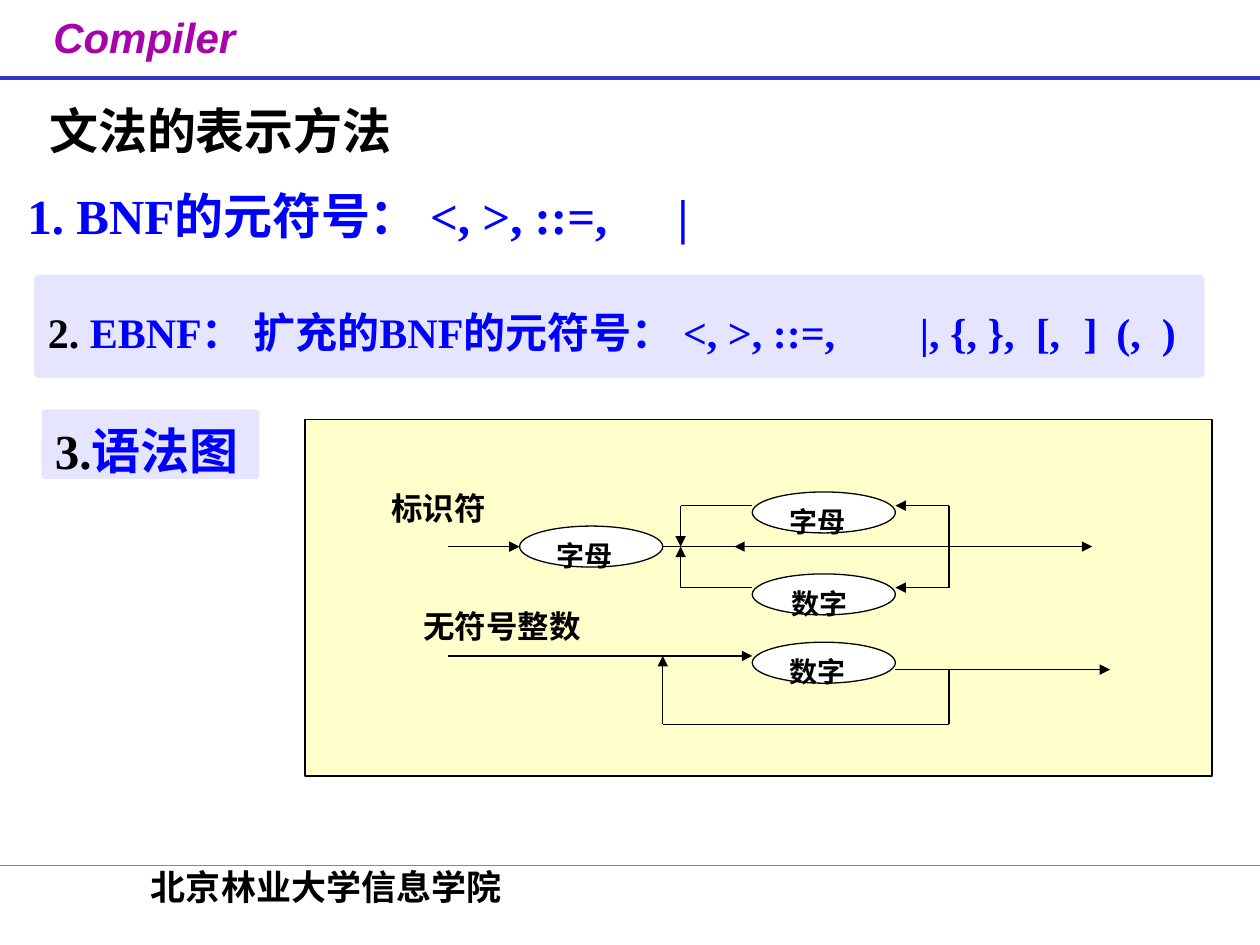
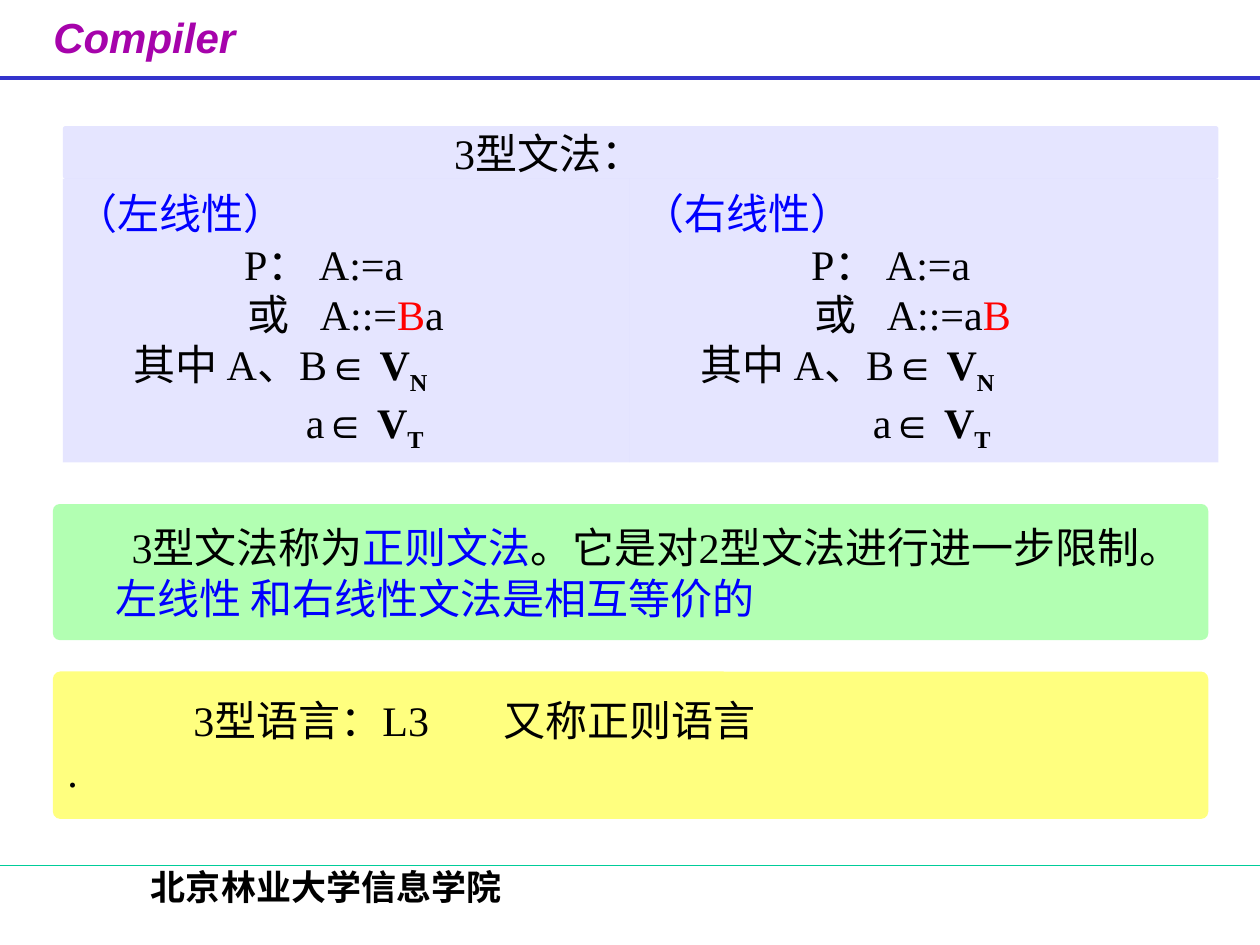
import dataclasses
import itertools

import lxml.etree
import pptx
import pptx.dml.color
import pptx.enum.shapes
import pptx.enum.text
import pptx.oxml.ns
import pptx.util

SHAPES = pptx.enum.shapes.MSO_SHAPE
ALIGN = pptx.enum.text.PP_ALIGN
ANCHOR = pptx.enum.text.MSO_ANCHOR
SLIDE_WIDTH = pptx.util.Inches(10)
SLIDE_HEIGHT = pptx.util.Inches(7.5)
CELL = SLIDE_WIDTH / 100

COLORS = {
    "ink": "000000",
    "blue": "0000FF",
    "red": "FF0000",
    "course": "A603AB",
    "header_rule": "3333CC",
    "footer_rule": "00CC99",
    "lavender": "CCCCFF",
    "green": "66FF66",
    "yellow": "FFFF00",
    "canvas": "FFFFCC",
    "node": "FFFFFF",
}


@dataclasses.dataclass
class Box:
    x: float
    y: float
    w: float
    h: float

    def emu(self):
        return [grid(value) for value in (self.x, self.y, self.w, self.h)]


def grid(cells):
    return pptx.util.Emu(round(cells * CELL))


def rgb(name):
    return pptx.dml.color.RGBColor.from_string(COLORS[name])


def child(parent, tag, **attributes):
    return lxml.etree.SubElement(parent, pptx.oxml.ns.qn(tag), **attributes)


def style_run(run, size, color, bold=False, italic=False, font="Times New Roman", sub=False):
    run.font.size = pptx.util.Pt(size)
    run.font.color.rgb = rgb(color)
    run.font.bold = bold
    run.font.italic = italic
    run.font.name = font
    if sub:
        run.font._element.set("baseline", "-25000")


def write(shape, lines, size=24, color="ink", align=ALIGN.LEFT, anchor=ANCHOR.TOP,
          spacing=None, tabs=(), right=0, **font):
    frame = shape.text_frame
    frame.word_wrap = True
    frame.vertical_anchor = anchor
    frame.margin_left, frame.margin_right = grid(1), grid(right)
    frame.margin_top = frame.margin_bottom = grid(0.5)
    for number, (line, stops) in enumerate(itertools.zip_longest(lines, tabs, fillvalue=())):
        paragraph = frame.add_paragraph() if number else frame.paragraphs[0]
        if stops:
            stop_list = child(paragraph._p.get_or_add_pPr(), "a:tabLst")
            for stop in stops:
                child(stop_list, "a:tab", pos=str(grid(stop)), algn="l")
        paragraph.alignment = align
        if spacing:
            paragraph.line_spacing = spacing
        for text, changes in line:
            run = paragraph.add_run()
            run.text = text
            style_run(run, **{"size": size, "color": color, **font, **changes})


def label(slide, box, text, **text_format):
    write(slide.shapes.add_textbox(*box.emu()), [[(text, {})]], **text_format)


def block(slide, kind, box, fill, line=None, alpha=None):
    shape = slide.shapes.add_shape(kind, *box.emu())
    shape.shadow.inherit = False
    shape.fill.solid()
    shape.fill.fore_color.rgb = rgb(fill)
    if kind == SHAPES.ROUNDED_RECTANGLE:
        shape.adjustments[0] = 0.05
    if alpha:
        tint = shape._element.spPr.find(".//" + pptx.oxml.ns.qn("a:srgbClr"))
        child(tint, "a:alpha", val=str(alpha * 1000))
    if line:
        shape.line.color.rgb = rgb(line)
        shape.line.width = pptx.util.Pt(0.75)
    else:
        shape.line.fill.background()
    return shape


def panel(slide, box, fill, lines, kind=SHAPES.ROUNDED_RECTANGLE, **text_format):
    write(block(slide, kind, box, fill, alpha=50), lines, anchor=ANCHOR.MIDDLE, **text_format)


def rule(slide, start, end, color="ink", width=0.75, arrow=False):
    line = slide.shapes.add_connector(
        pptx.enum.shapes.MSO_CONNECTOR.STRAIGHT, *map(grid, start + end))
    line.line.color.rgb = rgb(color)
    line.line.width = pptx.util.Pt(width)
    if arrow:
        child(line.line._get_or_add_ln(), "a:tailEnd", type="triangle")
    child(line._element.spPr, "a:effectLst")


def course_frame(slide, box):
    bottom = box.y + box.h
    label(slide, Box(box.x + 1.9, box.y + 0.4, 19.1, 6.2), "Compiler", align=ALIGN.CENTER,
          color="course", font="Arial", bold=True, italic=True, right=1)
    rule(slide, (box.x, box.y + 6.2), (box.x + box.w, box.y + 6.2), "header_rule", 2.25)
    rule(slide, (box.x, bottom - 6.3), (box.x + box.w, bottom - 6.3), "footer_rule")
    label(slide, Box(box.x + 5.2, bottom - 6.8, 41.4, 5), "北京林业大学信息学院",
          size=20, align=ALIGN.CENTER, bold=True, right=1)


def syntax_diagram(slide, box):
    column, row = box.w / 50.7, box.h / 26.1

    def at(x, y):
        return box.x + x * column, box.y + (y + 0.3) * row

    block(slide, SHAPES.RECTANGLE, box, "canvas", "ink")

    nodes = [
        (12, 7.5, "字母", 10),
        (25, 5, "字母", 10),
        (25, 11, "数字", 16),
        (25, 16, "数字", 10),
    ]
    for x, y, symbol, lead_size in nodes:
        node = block(slide, SHAPES.OVAL, Box(*at(x, y), 8 * column, 3 * row), "node", "ink")
        write(node, [[(" ", {"size": lead_size}), (symbol, {})]],
              size=16, bold=True, align=ALIGN.JUSTIFY, right=1)

    arrows = [
        ((8, 9), (12, 9)),
        ((20, 9), (44, 9)),
        ((28, 9), (24, 9)),
        ((8, 17), (25, 17)),
        ((33, 18), (45, 18)),
        ((20, 22), (20, 17)),
    ]
    links = [((36, 6), (36, 12)), ((36, 18), (36, 22)), ((20, 22), (36, 22))]
    for branch in (6, 12):
        links.append(((21, branch), (25, branch)))
        arrows += [((21, branch), (21, 9)), ((36, branch), (33, branch))]
    for paths, arrow in ((links, False), (arrows, True)):
        for start, end in paths:
            rule(slide, at(*start), at(*end), arrow=arrow)

    identifier = slide.shapes.add_textbox(*Box(box.x + 5.1, box.y + 4.2, 11.5, 5).emu())
    write(identifier, [[(" ", {"size": 24}), ("标识符", {})]], size=18, bold=True)
    label(slide, Box(box.x + 8.4, box.y + 14.4, 14.5, 4), "无符号整数", size=18, bold=True)


def notation_slide(slide, box):
    def inside(x, y, w, h):
        return Box(box.x + x, box.y + y, w, h)

    blue = {"color": "blue"}
    label(slide, inside(2.5, 7.5, 30, 5.7), "文法的表示方法",
          size=28, bold=True, align=ALIGN.CENTER, right=1)
    panel(slide, inside(3.3, 32.5, 17.3, 5.5), "lavender",
          [[("3.", {}), ("语法图", blue)]], size=28, bold=True, spacing=1.2)
    panel(slide, inside(2.7, 21.8, 92.9, 8.2), "lavender",
          [[("2. ", {}),
            ("EBNF： 扩充的BNF的元符号： <, >, ::=,\t|, {, },\t[,\t]\t(,\t)", blue)]],
          bold=True, spacing=1.2, tabs=[(69.2, 78.4, 82.2, 84.8, 88.4)])
    syntax_diagram(slide, inside(24.2, 33.3, 72, 28.3))
    label(slide, inside(1.2, 13.3, 55.7, 6.6), "1. BNF的元符号： <, >, ::=,\t|",
          size=28, color="blue", bold=True, spacing=1.2, tabs=[(51.6,)])


def linear_grammar(slide, box, side, production):
    def membership(lead, subscript):
        return [(lead, {}), ("V", {"bold": True}), (subscript, {"bold": True, "sub": True})]

    choice = [(symbol, {"color": "red"} if symbol == "B" else {}) for symbol in production]
    lines = [
        [(f"（{side}）", {"color": "blue"})],
        [("\tP： A:=a", {})],
        [("\t或\tA::=", {})] + choice,
        membership("\t其中 A、B∈ ", "N"),
        membership("\ta∈ ", "T"),
    ]
    panel(slide, box, "lavender", lines, SHAPES.RECTANGLE,
          tabs=[(), (13.4,), (13.7, 19.4), (4.6,), (18.3,)])


def regular_grammar_slide(slide, box):
    def inside(x, y, w, h):
        return Box(box.x + x, box.y + y, w, h)

    blue = {"color": "blue"}
    linear_grammar(slide, inside(50, 14.2, 46.7, 22.5), "右线性", "aB")
    panel(slide, inside(4.2, 53.3, 91.7, 11.7), "yellow",
          [[("\t3型语言：L3\t又称正则语言", {})], [(".", {})]], tabs=[(10, 34.6)])
    panel(slide, inside(4.2, 40, 91.7, 10.8), "green",
          [[("\t3型文法称为", {}), ("正则文法", blue), ("。它是对2型文法进行进一步限制。", {})],
           [("\t左线性 和右线性文法是相互等价的", blue)]],
          tabs=[(5.1,), (3.8,)])
    linear_grammar(slide, inside(5, 14.2, 45, 22.5), "左线性", "Ba")
    panel(slide, inside(5, 10, 91.7, 4.2), "lavender", [[("\t3型文法：", {})]], tabs=[(30,)])


def main():
    deck = pptx.Presentation()
    deck.slide_width, deck.slide_height = SLIDE_WIDTH, SLIDE_HEIGHT
    page = Box(0, 0, 100, 75)
    for build in (notation_slide, regular_grammar_slide):
        slide = deck.slides.add_slide(deck.slide_layouts[6])
        course_frame(slide, page)
        build(slide, page)
    deck.save("out.pptx")


if __name__ == "__main__":
    main()
